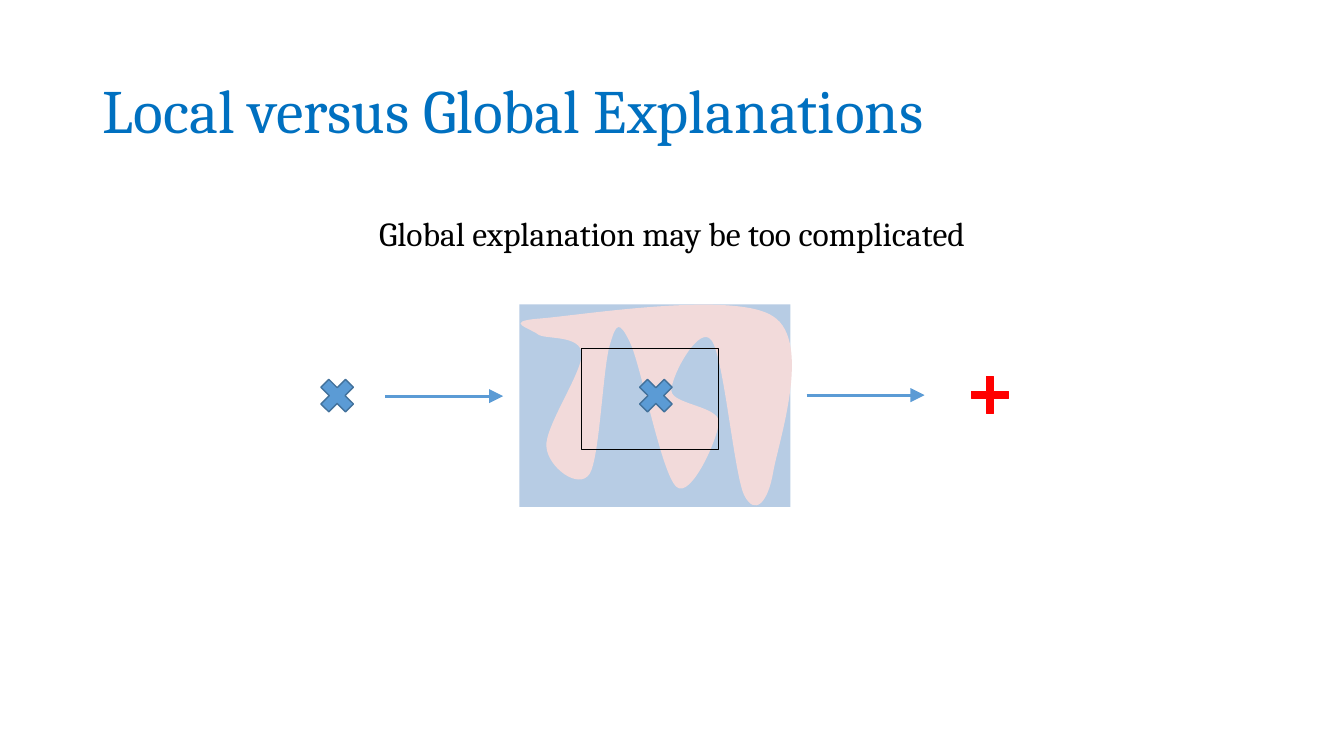
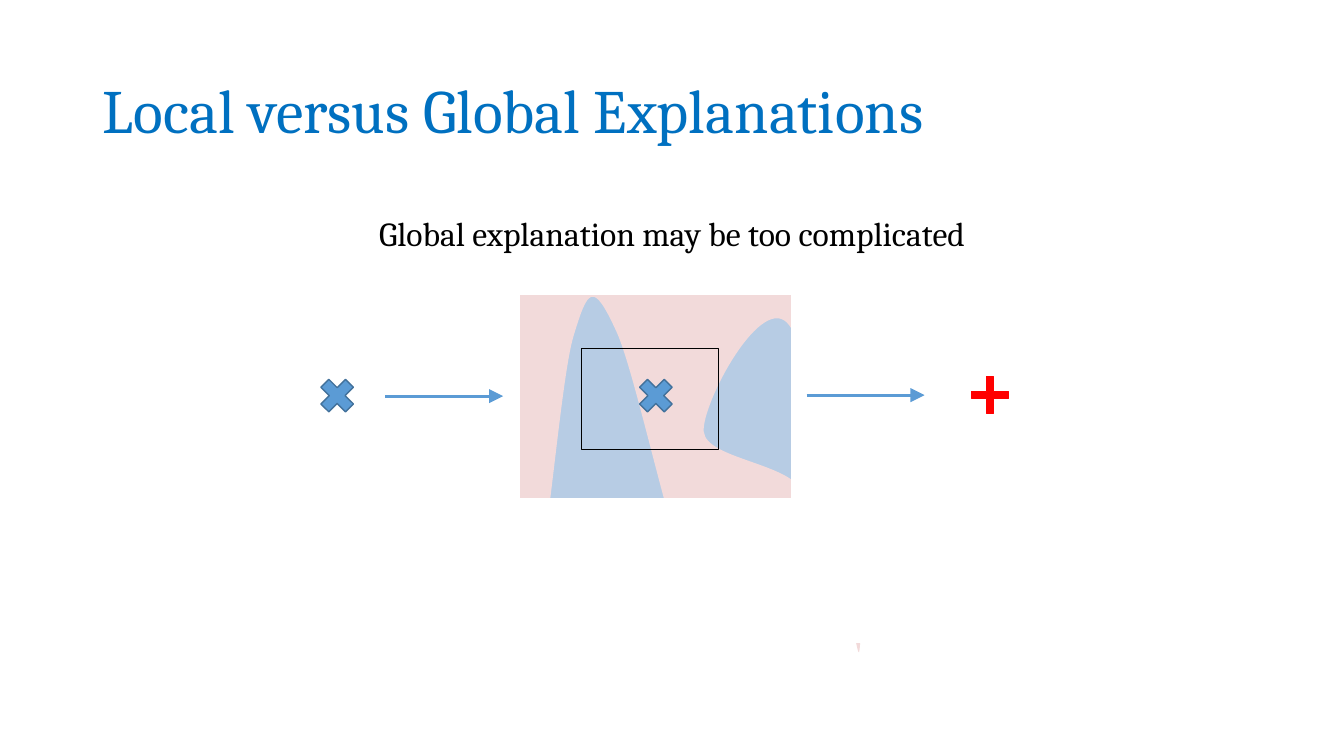
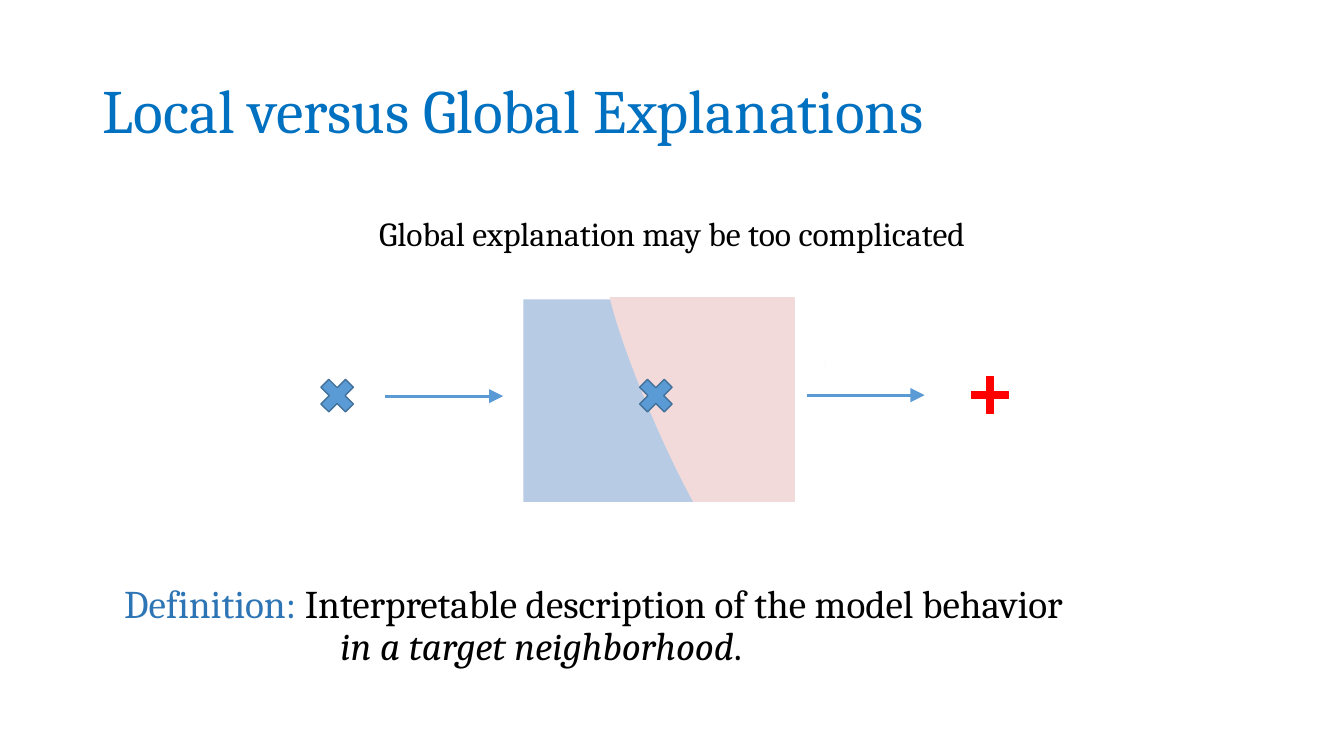
from dataclasses import dataclass
from lxml.etree import SubElement
from pptx import Presentation
from pptx.dml.color import RGBColor
from pptx.enum.shapes import MSO_CONNECTOR, MSO_SHAPE
from pptx.enum.text import MSO_ANCHOR, MSO_AUTO_SIZE, PP_ALIGN
from pptx.oxml.ns import qn
from pptx.util import Inches, Pt


@dataclass(frozen=True)
class Theme:
    font: str = "Cambria"
    title: str = "0070C0"
    term: str = "2E75B5"
    ink: str = "000000"
    paper: str = "FFFFFF"
    blue: str = "B7CCE4"
    pink: str = "F2DADA"
    mark: str = "5B9BD5"
    edge: str = "42719B"
    plus: str = "FF0000"
    head_size: int = 44
    note_size: int = 24
    body_size: int = 28


@dataclass(frozen=True)
class Scene:
    box: tuple      # left, top, width, height of the model panel
    start: tuple    # first point of the pink region, from the panel corner
    curves: tuple   # Bézier pieces: two controls and an end point
    masks: tuple = ()   # paper covers that trim the region to the panel
    window: bool = True


THEME = Theme()
STEPS = 16

TANGLED = Scene(
    (5.15, 3.02, 2.69, 2.01), (0.19, 0.3),
    ((0.26, 0.35, 0.61, 0.3, 0.62, 0.49),
     (0.63, 0.67, 0.25, 1.22, 0.27, 1.41),
     (0.28, 1.61, 0.59, 1.85, 0.7, 1.68),
     (0.8, 1.51, 0.83, 0.62, 0.9, 0.4),
     (0.96, 0.19, 0.99, 0.15, 1.1, 0.38),
     (1.21, 0.61, 1.41, 1.68, 1.56, 1.81),
     (1.7, 1.94, 1.98, 1.32, 1.98, 1.16),
     (1.97, 1.01, 1.52, 0.99, 1.51, 0.86),
     (1.5, 0.72, 1.79, 0.18, 1.91, 0.36),
     (2.03, 0.53, 2.13, 1.67, 2.23, 1.89),
     (2.34, 2.11, 2.47, 1.96, 2.52, 1.66),
     (2.57, 1.37, 2.91, 0.37, 2.52, 0.12),
     (2.14, -0.14, 0.6, 0.11, 0.21, 0.14),
     (-0.18, 0.17, 0.12, 0.24, 0.19, 0.3)))

ZOOMED = Scene(
    (5.16, 2.93, 2.69, 2.01), (2.92, -0.08),
    ((2.37, -0.71, 0.62, -0.5, 0.07, -0.23),
     (-0.47, 0.05, -0.37, 1.01, -0.36, 1.57),
     (-0.36, 2.12, -0.05, 3.28, 0.1, 3.09),
     (0.25, 2.9, 0.39, 0.86, 0.53, 0.4),
     (0.67, -0.06, 0.72, -0.15, 0.95, 0.35),
     (1.18, 0.84, 1.61, 3.09, 1.92, 3.37),
     (2.23, 3.64, 2.83, 2.34, 2.81, 2.01),
     (2.8, 1.67, 1.84, 1.64, 1.82, 1.35),
     (1.8, 1.07, 2.41, -0.07, 2.67, 0.3),
     (2.93, 0.66, 3.32, 3.61, 3.36, 3.54),
     (3.4, 3.48, 3.47, 0.55, 2.92, -0.08)),
    ((-0.37, 2.02, 3.76, 1.42), (2.69, -0.41, 0.69, 3.63),
     (-0.7, -0.49, 0.69, 3.63), (-0.69, -0.66, 4.07, 0.65)))

LOCAL = Scene(
    (5.19, 2.97, 2.69, 2.01), (2.98, 0.82),
    ((3.19, -0.48, 0.98, -0.67, 0.83, -0.39),
     (0.67, -0.1, 1.71, 2.34, 2.07, 2.54),
     (2.43, 2.74, 2.78, 2.13, 2.98, 0.82)),
    ((1.65, 2.02, 1.04, 0.57), (0.81, -0.53, 1.88, 0.5),
     (2.7, -0.1, 0.29, 2.17)),
    window=False)


def color(code):
    return RGBColor.from_string(code)


def paint(shape, fill=None, line=None):
    shape.shadow.inherit = False
    if fill:
        shape.fill.solid()
        shape.fill.fore_color.rgb = color(fill)
    else:
        shape.fill.background()
    if line:
        shape.line.color.rgb = color(line)
        shape.line.width = Pt(1)
    else:
        shape.line.fill.background()


def draw(slide, kind, box, fill=None, line=None):
    shape = slide.shapes.add_shape(kind, *map(Inches, box))
    paint(shape, fill, line)
    return shape


def write(para, text, size, code, italic=None):
    run = para.add_run()
    run.text = text
    run.font.name = THEME.font
    run.font.size = Pt(size)
    run.font.color.rgb = color(code)
    run.font.italic = italic


def place(shape, box):
    shape.left, shape.top, shape.width, shape.height = map(Inches, box)
    shape.text_frame.word_wrap = True
    shape.text_frame.auto_size = MSO_AUTO_SIZE.NONE
    return shape.text_frame


def trace(start, curves):
    """Sample the Bézier pieces, to find the bounds of the outline."""
    points = [start]
    for ax, ay, bx, by, ex, ey in curves:
        sx, sy = points[-1]
        for step in range(1, STEPS + 1):
            t = step / STEPS
            u = 1 - t
            points.append(tuple(
                u**3 * s + 3 * u * u * t * a + 3 * u * t * t * b + t**3 * e
                for s, a, b, e in ((sx, ax, bx, ex), (sy, ay, by, ey))))
    return points


def region(slide, corner, start, curves):
    """Closed outline of true curves, placed from the given corner."""
    left, top = corner
    first, *rest = [(Inches(left + x), Inches(top + y))
                    for x, y in trace(start, curves)]
    pen = slide.shapes.build_freeform(*first)
    pen.add_line_segments(rest, close=True)
    shape = pen.convert_to_shape()
    # Put one cubic piece in place of each run of samples
    outline = next(shape._element.iter(qn("a:path")))
    for line in outline.findall(qn("a:lnTo")):
        outline.remove(line)
    close = outline.find(qn("a:close"))
    for curve in curves:
        piece = SubElement(outline, qn("a:cubicBezTo"))
        for x, y in zip(curve[::2], curve[1::2]):
            SubElement(piece, qn("a:pt"),
                       x=str(Inches(left + x) - shape.left),
                       y=str(Inches(top + y) - shape.top))
        close.addprevious(piece)
    paint(shape, THEME.pink)


def arrow(slide, x, y, width):
    line = slide.shapes.add_connector(
        MSO_CONNECTOR.STRAIGHT, *map(Inches, (x, y, x + width, y)))
    line.line.color.rgb = color(THEME.mark)
    line.line.width = Pt(2)
    SubElement(line.line._get_or_add_ln(), qn("a:tailEnd"),
               type="triangle", w="lg", len="lg")
    SubElement(line._element.spPr, qn("a:effectLst"))


def panel(slide, scene):
    left, top = scene.box[:2]
    draw(slide, MSO_SHAPE.RECTANGLE, scene.box, THEME.blue)
    region(slide, (left, top), scene.start, scene.curves)
    # Trim to the panel
    for x, y, width, height in scene.masks:
        draw(slide, MSO_SHAPE.RECTANGLE, (left + x, top + y, width, height),
             THEME.paper, THEME.paper)


def flow(slide, box, window):
    """Input mark, arrow in, arrow out, predicted plus."""
    x, y, width, height = box
    if window:
        draw(slide, MSO_SHAPE.RECTANGLE, (x + 2.66, y - 0.21, 1.36, 1),
             line=THEME.ink)
    for shift in (0, 3.16):
        draw(slide, MSO_SHAPE.MATH_MULTIPLY,
             (x + shift, y + 0.02, 0.47, 0.47), THEME.mark, THEME.edge)
    arrow(slide, x + 0.71, y + 0.26, 1.17)
    arrow(slide, x + 4.89, y + 0.25, 1.17)
    plus = draw(slide, MSO_SHAPE.MATH_PLUS,
                (x + width - height, y, height, height),
                THEME.plus, THEME.plus)
    plus.adjustments[0] = 0.135


def title(slide, box):
    frame = place(slide.shapes.title, box)
    frame.vertical_anchor = MSO_ANCHOR.MIDDLE
    para = frame.paragraphs[0]
    para.alignment = PP_ALIGN.LEFT
    para.line_spacing = 0.9
    write(para, "Local versus Global Explanations",
          THEME.head_size, THEME.title)


def note(slide, box):
    frame = place(slide.shapes.add_textbox(0, 0, 0, 0), box)
    para = frame.paragraphs[0]
    para.alignment = PP_ALIGN.CENTER
    write(para, "Global explanation may be too complicated",
          THEME.note_size, THEME.ink)


def define(slide, box):
    para = place(slide.placeholders[1], box).paragraphs[0]
    para.line_spacing = 0.9
    para.space_before = Pt(0)
    props = para._p.get_or_add_pPr()
    props.set("marL", str(Inches(0.25)))
    props.set("indent", str(Inches(-0.06)))
    SubElement(props, qn("a:buNone"))
    size = THEME.body_size
    write(para, "Definition:", size, THEME.term)
    write(para, " Interpretable description of the model behavior",
          size, THEME.ink)
    para.add_line_break()
    write(para, "\t\t\t\t ", size, THEME.ink)
    write(para, "in a target neighborhood", size, THEME.ink, True)
    write(para, ".", size, THEME.ink, False)


def build(deck, scene, defined=False):
    slide = deck.slides.add_slide(deck.slide_layouts[1 if defined else 5])
    title(slide, (0.92, 0.4, 11.5, 1.45))
    panel(slide, scene)
    flow(slide, (3.11, 3.67, 6.96, 0.5), scene.window)
    note(slide, (2.87, 2.06, 7.59, 0.56))
    if defined:
        define(slide, (0.94, 5.75, 11.5, 1.01))


def main():
    deck = Presentation()
    deck.slide_width, deck.slide_height = Inches(13.33), Inches(7.5)
    build(deck, TANGLED)
    build(deck, ZOOMED)
    build(deck, LOCAL, defined=True)
    deck.save("out.pptx")


if __name__ == "__main__":
    main()
